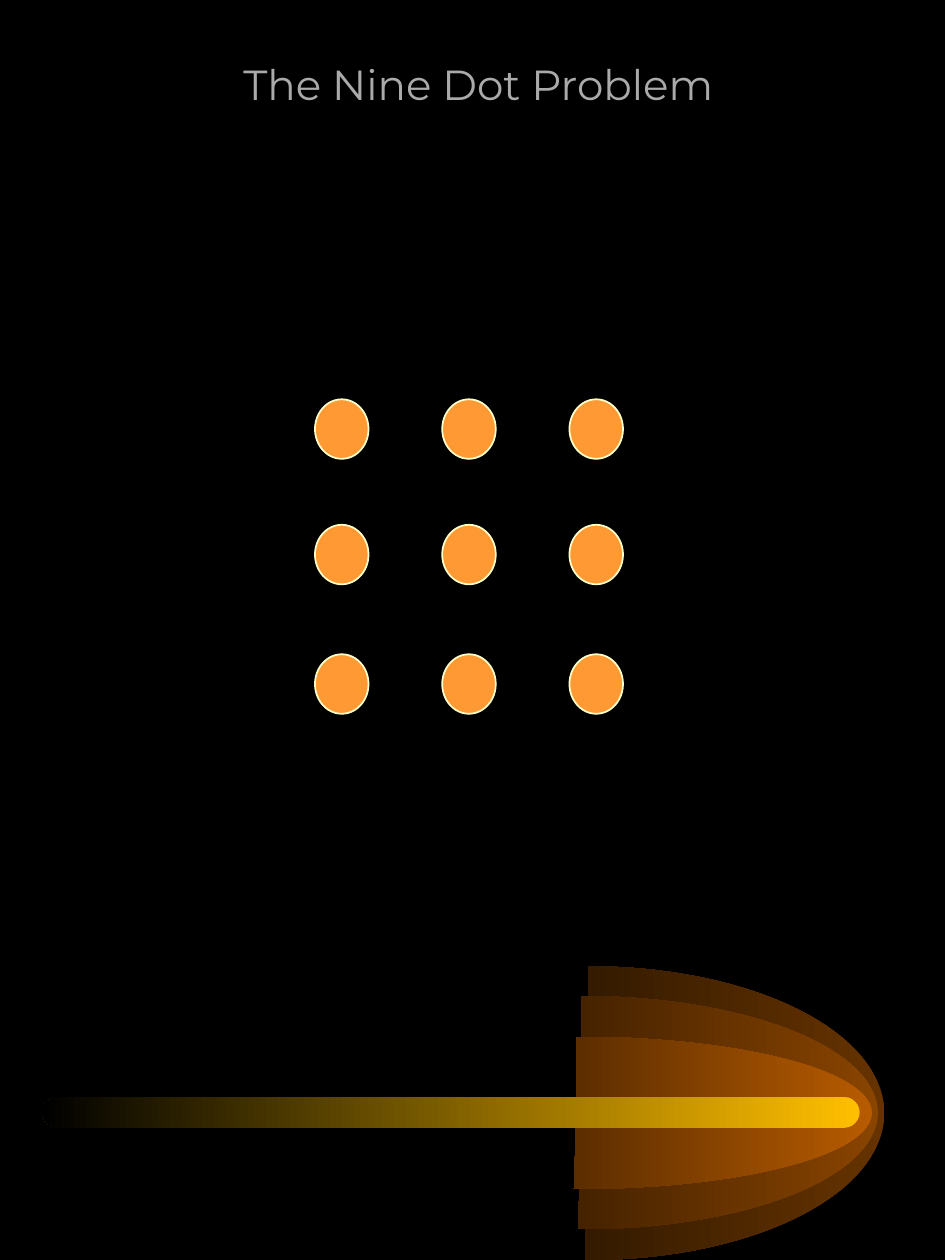
from dataclasses import dataclass
from itertools import product

from pptx import Presentation
from pptx.dml.color import RGBColor
from pptx.dml.fill import FillFormat
from pptx.enum.shapes import MSO_SHAPE
from pptx.enum.text import MSO_ANCHOR, PP_ALIGN
from pptx.shapes.autoshape import Shape
from pptx.shapes.shapetree import GroupShapes
from pptx.slide import Slide
from pptx.util import Cm, Pt

ARC = MSO_SHAPE.ARC
BAR = MSO_SHAPE.ROUNDED_RECTANGLE
OVAL = MSO_SHAPE.OVAL
TOP = MSO_ANCHOR.TOP
CENTER = PP_ALIGN.CENTER
DEGREE = 0.6


@dataclass(frozen=True)
class Theme:
    back: str = "000000"
    dot: str = "FF9933"
    rim: str = "FFFFCC"
    bar: str = "FFBF00"
    title: tuple[str, str] = ("AAAAAA", "FFFFFF")
    font: str = "Montserrat"
    size: float = 24
    line: float = 1


@dataclass(frozen=True)
class Box:
    left: float
    top: float
    width: float
    height: float


@dataclass(frozen=True)
class Glow:
    box: Box
    color: str
    end: float


THEME = Theme()
GLOWS = (
    Glow(Box(5.92, 19.48, 11.91, 5.92), "663300", 91.5),
    Glow(Box(5.76, 20.08, 11.94, 4.7), "894400", 91.8),
    Glow(Box(5.66, 20.9, 11.92, 3.07), "B75B00", 91.8),
)
BEAM = Box(0.85, 22.12, 16.48, 0.61)
COLS = [6.35 + 2.565 * i for i in range(3)]
ROWS = (8.05, 10.58, 13.19)


def shade(fill: FillFormat, start: str, end: str, angle: float) -> None:
    fill.gradient()
    fill.gradient_angle = angle
    for stop, color in zip(fill.gradient_stops, (start, end)):
        stop.color.rgb = RGBColor.from_string(color)


def place(shapes: GroupShapes, kind: MSO_SHAPE, box: Box) -> Shape:
    shape = shapes.add_shape(
        kind, Cm(box.left), Cm(box.top), Cm(box.width), Cm(box.height)
    )
    shape.shadow.inherit = False
    shape.line.fill.background()
    return shape


def draw_comet(slide: Slide) -> None:
    shapes = slide.shapes.add_group_shape().shapes
    for glow in GLOWS:
        arc = place(shapes, ARC, glow.box)
        arc.adjustments[0] = 270 * DEGREE
        arc.adjustments[1] = glow.end * DEGREE
        shade(arc.fill, glow.color, THEME.back, 180)
    beam = place(shapes, BAR, BEAM)
    beam.adjustments[0] = 0.5
    shade(beam.fill, THEME.bar, THEME.back, 180)


def draw_dots(slide: Slide) -> None:
    shapes = slide.shapes.add_group_shape().shapes
    for top, left in product(ROWS, COLS):
        dot = place(shapes, OVAL, Box(left, top, 1.08, 1.2))
        dot.fill.solid()
        dot.fill.fore_color.rgb = RGBColor.from_string(THEME.dot)
        dot.line.color.rgb = RGBColor.from_string(THEME.rim)
        dot.line.width = Pt(THEME.line)


def draw_title(slide: Slide) -> None:
    box = slide.shapes.add_textbox(Cm(1.7), Cm(1.05), Cm(15.88), Cm(4.45))
    frame = box.text_frame
    frame.word_wrap = False
    frame.vertical_anchor = TOP
    para = frame.paragraphs[0]
    para.alignment = CENTER
    run = para.add_run()
    run.text = "The Nine Dot Problem"
    run.font.name = THEME.font
    run.font.size = Pt(THEME.size)
    shade(run.font.fill, *THEME.title, 270)


def main() -> None:
    deck = Presentation()
    deck.slide_width = Cm(19.05)
    deck.slide_height = Cm(25.4)
    slide = deck.slides.add_slide(deck.slide_layouts[6])
    slide.background.fill.solid()
    slide.background.fill.fore_color.rgb = RGBColor.from_string(THEME.back)
    draw_comet(slide)
    draw_dots(slide)
    draw_title(slide)
    deck.save("out.pptx")


if __name__ == "__main__":
    main()
